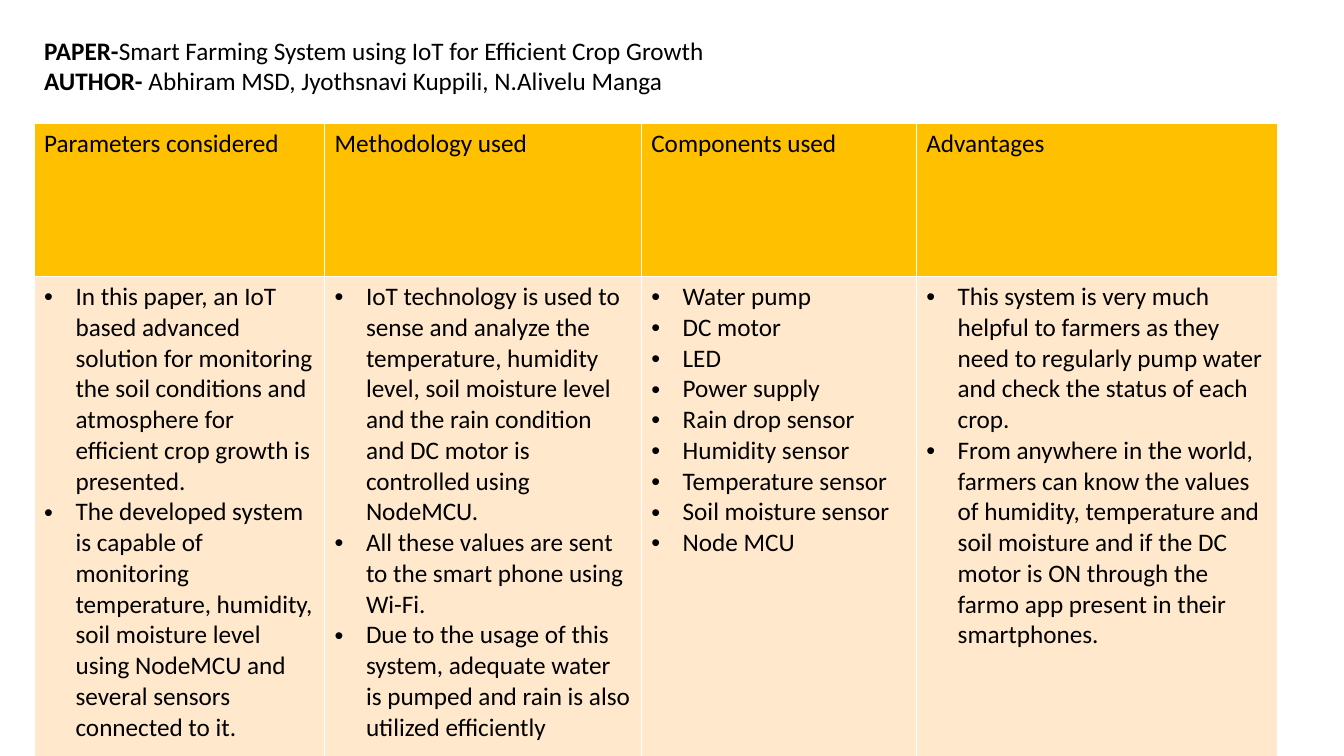
from dataclasses import dataclass

from lxml.etree import SubElement as Sub
from pptx import Presentation
from pptx.dml.color import RGBColor as RGB
from pptx.enum.text import MSO_ANCHOR as Anchor
from pptx.enum.text import MSO_AUTO_SIZE as Fit
from pptx.enum.text import PP_ALIGN as Align
from pptx.oxml.ns import qn
from pptx.util import Cm, Pt


@dataclass(frozen=True)
class Theme:
    font: str = "Calibri"
    size: int = 18
    ink: str = "000000"
    head: str = "FFC000"
    body: str = "FFE8CC"
    rule: str = "FFFFFF"


THEME = Theme()
LEFT = Cm(0.86)
INDENT = Cm(0.79)

PAPER = [
    ("PAPER-", "Smart Farming System using IoT for Efficient Crop Growth"),
    ("AUTHOR- ", "Abhiram MSD, Jyothsnavi Kuppili, N.Alivelu Manga"),
]

# Heading, width in cm, points
REVIEW = [
    ("Parameters considered", 7.32, [
        "In this paper, an IoT based advanced solution for monitoring the soil "
        "conditions and atmosphere for efficient crop growth is presented.",
        "The developed system is capable of monitoring temperature, humidity, "
        "soil moisture level using NodeMCU and several sensors connected to it.",
    ]),
    ("Methodology used", 7.98, [
        "IoT technology is used to sense and analyze the temperature, humidity "
        "level, soil moisture level and the rain condition and DC motor is "
        "controlled using NodeMCU.",
        "All these values are sent to the smart phone using Wi-Fi.",
        "Due to the usage of this system, adequate water is pumped and rain is "
        "also utilized efficiently",
    ]),
    ("Components used", 6.93, [
        "Water pump", "DC motor", "LED", "Power supply", "Rain drop sensor",
        "Humidity sensor", "Temperature sensor", "Soil moisture sensor",
        "Node MCU",
    ]),
    ("Advantages", 9.12, [
        "This system is very much helpful to farmers as they need to regularly "
        "pump water and check the status of each crop.",
        "From anywhere in the world, farmers can know the values of humidity, "
        "temperature and soil moisture and if the DC motor is ON through the "
        "farmo app present in their smartphones.",
    ]),
]


def style(run, bold=False):
    font = run.font
    font.name, font.size, font.bold = THEME.font, Pt(THEME.size), bold
    font.color.rgb = RGB.from_string(THEME.ink)


def bullet(para):
    props = para._p.get_or_add_pPr()
    props.set("marL", str(INDENT))
    props.set("indent", str(-INDENT))
    Sub(props, qn("a:buFont"), typeface="Arial")
    Sub(props, qn("a:buChar"), char="•")


def border(cell):
    props = cell._tc.get_or_add_tcPr()
    for side in ("lnL", "lnR", "lnT", "lnB"):
        line = Sub(props, qn(f"a:{side}"), w=str(Pt(1)))
        fill = Sub(line, qn("a:solidFill"))
        Sub(fill, qn("a:srgbClr"), val=THEME.rule)


def fill_cell(cell, lines, color, listed=False):
    border(cell)
    cell.fill.solid()
    cell.fill.fore_color.rgb = RGB.from_string(color)
    cell.text_frame.text = "\n".join(lines)
    for para in cell.text_frame.paragraphs:
        if listed:
            bullet(para)
        for run in para.runs:
            style(run)


def add_title(slide):
    title = slide.shapes.title
    title.left, title.top = LEFT, Cm(0.76)
    title.width, title.height = Cm(30), Cm(1.8)
    frame = title.text_frame
    frame.word_wrap = True
    frame.auto_size = Fit.NONE
    frame.vertical_anchor = Anchor.TOP
    frame.text = "\n".join(label for label, _ in PAPER)
    for para, (_, value) in zip(frame.paragraphs, PAPER):
        para.alignment = Align.LEFT
        para.space_before = Pt(0)
        style(para.runs[0], bold=True)
        run = para.add_run()
        run.text = value
        style(run)


def add_review(slide):
    heights = Cm(3.87), Cm(13.92)
    width = Cm(sum(wide for _, wide, _ in REVIEW))
    table = slide.shapes.add_table(
        2, len(REVIEW), LEFT, Cm(3.1), width, sum(heights)).table
    table.horz_banding = False
    for row, high in zip(table.rows, heights):
        row.height = high
    for col, (head, wide, points) in enumerate(REVIEW):
        table.columns[col].width = Cm(wide)
        fill_cell(table.cell(0, col), [head], THEME.head)
        fill_cell(table.cell(1, col), points, THEME.body, listed=True)


def main():
    deck = Presentation()
    deck.slide_width, deck.slide_height = Cm(33.87), Cm(19.05)
    slide = deck.slides.add_slide(deck.slide_layouts[5])
    add_title(slide)
    add_review(slide)
    deck.save("out.pptx")


if __name__ == "__main__":
    main()
